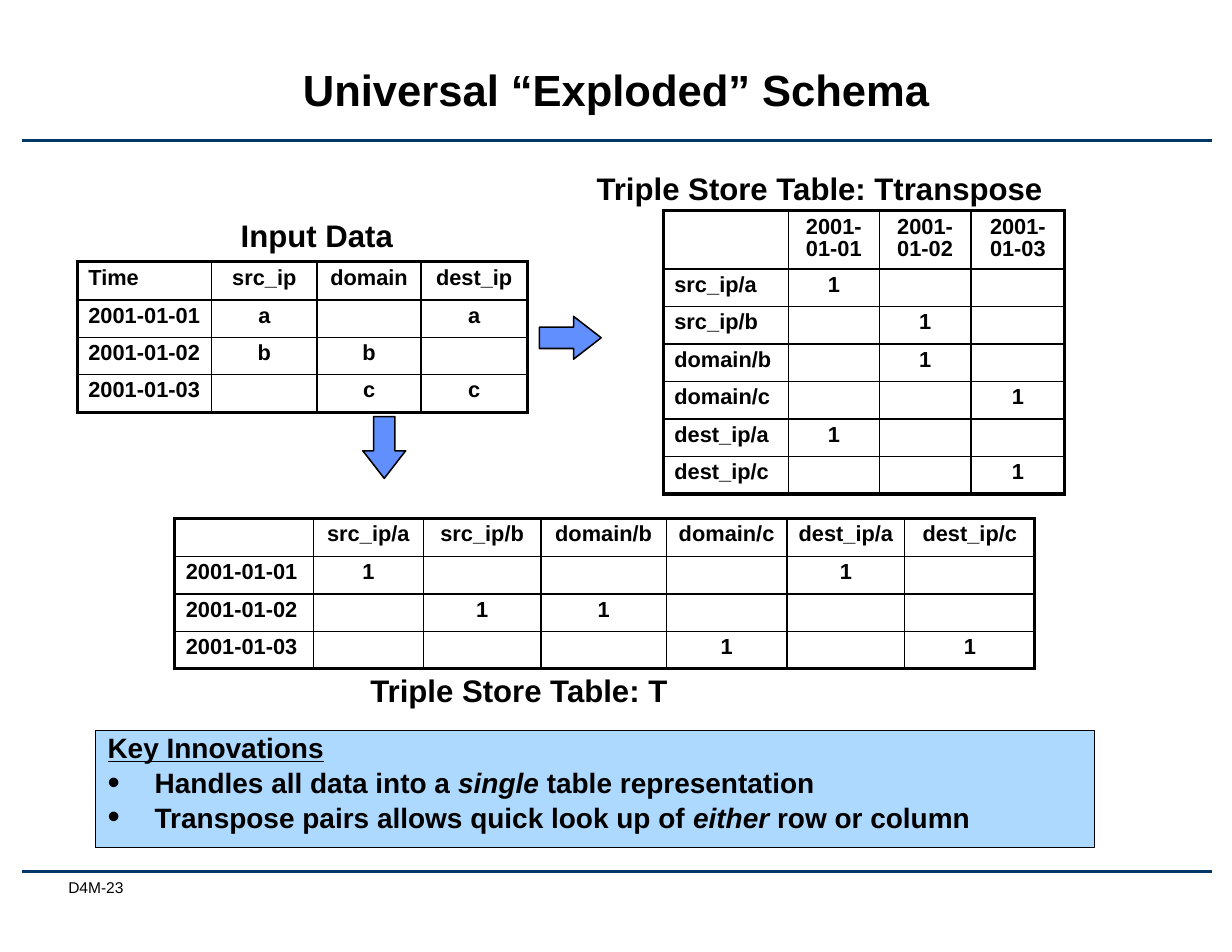
from lxml.etree import SubElement
from pptx import Presentation
from pptx.dml.color import RGBColor
from pptx.enum.shapes import MSO_CONNECTOR, MSO_SHAPE
from pptx.enum.text import MSO_ANCHOR, PP_ALIGN
from pptx.oxml import parse_xml
from pptx.oxml.ns import nsdecls, qn
from pptx.util import Cm, Pt

BLACK, NAVY, ARROW_BLUE, PANEL_BLUE = "000000", "003767", "618FFD", "AED9FF"
THICK, THIN = 2.25, 1
TIMES = ["2001-01-01", "2001-01-02", "2001-01-03"]
KEYS = ["src_ip/a", "src_ip/b", "domain/b", "domain/c", "dest_ip/a", "dest_ip/c"]
KEYS_AT_TIME = [
    {"src_ip/a", "dest_ip/a"},
    {"src_ip/b", "domain/b"},
    {"domain/c", "dest_ip/c"},
]


def color(value):
    return RGBColor.from_string(value)


def box(*lengths):
    return [Cm(length) for length in lengths]


def write(paragraph, text, size=14, bold=True, italic=False, underline=False,
          align=None, spacing=None):
    if align is not None:
        paragraph.alignment = align
    if spacing is not None:
        paragraph.line_spacing = spacing
    run = paragraph.add_run()
    run.text = text
    font = run.font
    font.name, font.size = "Arial", Pt(size)
    font.bold, font.italic, font.underline = bold, italic, underline
    font.color.rgb = color(BLACK)


def set_margins(frame, left, top, right, bottom):
    frame.margin_left, frame.margin_top = Cm(left), Cm(top)
    frame.margin_right, frame.margin_bottom = Cm(right), Cm(bottom)


def add_title(slide, text, area):
    title = slide.shapes.title
    title.left, title.top, title.width, title.height = box(*area)
    frame = title.text_frame
    frame.vertical_anchor = MSO_ANCHOR.MIDDLE
    set_margins(frame, 0.28, 0.15, 0.28, 0.15)
    write(frame.paragraphs[0], text, size=28, align=PP_ALIGN.CENTER, spacing=Pt(30))


def add_rule(slide, left, right, y):
    rule = slide.shapes.add_connector(MSO_CONNECTOR.STRAIGHT, *box(left, y, right, y))
    rule.line.color.rgb = color(NAVY)
    rule.line.width = Pt(1.75)
    SubElement(rule._element.spPr, qn("a:effectLst"))


def add_footer(slide, text, area):
    frame = slide.shapes.add_textbox(*box(*area)).text_frame
    set_margins(frame, 0.15, 0, 0, 0)
    write(frame.paragraphs[0], text, size=10, bold=False)


def add_label(slide, text, area):
    frame = slide.shapes.add_textbox(*box(*area)).text_frame
    frame.word_wrap = False
    write(frame.paragraphs[0], text, size=20)


def set_borders(cell, widths):
    properties = cell._tc.get_or_add_tcPr()
    for position, (side, width) in enumerate(zip("LRTB", widths)):
        properties.insert(position, parse_xml(
            f'<a:ln{side} {nsdecls("a")} w="{Pt(width)}"><a:solidFill>'
            f'<a:srgbClr val="{BLACK}"/></a:solidFill></a:ln{side}>'))


def add_grid(slide, rows, left, top, column_widths, row_heights):
    area = box(left, top, sum(column_widths), sum(row_heights))
    table = slide.shapes.add_table(len(rows), len(rows[0]), *area).table
    table.first_row = table.horz_banding = False
    for column, width in zip(table.columns, column_widths):
        column.width = Cm(width)
    for row, height in zip(table.rows, row_heights):
        row.height = Cm(height)
    last_row, last_column = len(rows) - 1, len(rows[0]) - 1
    for r, values in enumerate(rows):
        for c, value in enumerate(values):
            cell = table.cell(r, c)
            cell.fill.background()
            edges = (c == 0, c == last_column, r == 0, r == last_row)
            set_borders(cell, [THICK if edge else THIN for edge in edges])
            paragraph = cell.text_frame.paragraphs[0]
            if value:
                align = PP_ALIGN.CENTER if c else PP_ALIGN.LEFT
                write(paragraph, value, align=align, spacing=0.9)
            else:
                SubElement(paragraph._p, qn("a:endParaRPr")).set("sz", "1400")


def add_arrow(slide, left, top, rotation=0):
    arrow = slide.shapes.add_shape(MSO_SHAPE.DOWN_ARROW, *box(left, top, 0.97, 1.4))
    arrow.adjustments[0], arrow.adjustments[1] = 0.5, 0.645
    arrow.rotation = rotation
    paint(arrow, ARROW_BLUE, 1)


def paint(shape, fill, line_width):
    shape.shadow.inherit = False
    shape.fill.solid()
    shape.fill.fore_color.rgb = color(fill)
    shape.line.color.rgb = color(BLACK)
    shape.line.width = Pt(line_width)


def add_bullet(paragraph):
    properties = paragraph._p.get_or_add_pPr()
    properties.set("marL", str(Cm(1.07)))
    properties.set("indent", str(Cm(-1.07)))
    SubElement(properties, qn("a:buSzPct")).set("val", "125000")
    SubElement(properties, qn("a:buFont")).set("typeface", "Arial")
    SubElement(properties, qn("a:buChar")).set("char", "•")


def add_innovations(slide, heading, points, area):
    panel = slide.shapes.add_shape(MSO_SHAPE.RECTANGLE, *box(*area))
    paint(panel, PANEL_BLUE, 0.75)
    frame = panel.text_frame
    frame.word_wrap = True
    frame.vertical_anchor = MSO_ANCHOR.TOP
    set_margins(frame, 0.28, 0.15, 0.28, 0.15)
    layout = {"size": 18, "align": PP_ALIGN.LEFT, "spacing": 0.8}
    write(frame.paragraphs[0], heading, underline=True, **layout)
    for before, emphasis, after in points:
        paragraph = frame.add_paragraph()
        add_bullet(paragraph)
        paragraph.space_before = Pt(5.2)
        write(paragraph, before, **layout)
        write(paragraph, emphasis, italic=True, **layout)
        write(paragraph, after, **layout)


def build_schema_slide(slide):
    add_title(slide, "Universal “Exploded” Schema", (2.87, 0.79, 22.2, 2.57))
    for y in (3.18, 19.76):
        add_rule(slide, 0.51, 27.48, y)
    add_footer(slide, "D4M-23", (1.4, 19.91, 3.33, 0.69))

    records = [("a", "", "a"), ("b", "b", ""), ("", "c", "c")]
    input_rows = [["Time", "src_ip", "domain", "dest_ip"]]
    input_rows += [[time, *record] for time, record in zip(TIMES, records)]
    store_rows = [["", *KEYS]]
    store_rows += [[time] + ["1" if key in present else "" for key in KEYS]
                   for time, present in zip(TIMES, KEYS_AT_TIME)]
    transposed_rows = list(zip(*store_rows))

    short_heights = [0.86] + [0.81] * 3
    add_grid(slide, input_rows, 1.75, 5.94, [3.05, 2.39, 2.36, 2.41], short_heights)
    add_grid(slide, store_rows, 3.96, 11.76,
             [3.15, 2.49, 2.67, 2.84, 2.74, 2.67, 2.95], short_heights)
    add_grid(slide, transposed_rows, 15.04, 4.78,
             [2.84, 2.06, 2.08, 2.13], [1.32] + [0.85] * 6)

    add_label(slide, "Input Data", (5.21, 4.78, 3.96, 1.09))
    add_label(slide, "Triple Store Table: T", (8.15, 15.11, 7.34, 1.09))
    add_label(slide, "Triple Store Table: Ttranspose", (13.28, 3.71, 10.72, 1.09))
    add_arrow(slide, 8.23, 9.45)
    add_arrow(slide, 12.45, 6.96, rotation=270)
    add_innovations(slide, "Key Innovations", [
        ("Handles all data into a ", "single", " table representation"),
        ("Transpose pairs allows quick look up of ", "either", " row or column"),
    ], (2.16, 16.56, 22.66, 2.67))


def main():
    presentation = Presentation()
    presentation.slide_width, presentation.slide_height = box(27.94, 21.59)
    build_schema_slide(presentation.slides.add_slide(presentation.slide_layouts[5]))
    presentation.save("out.pptx")


if __name__ == "__main__":
    main()
